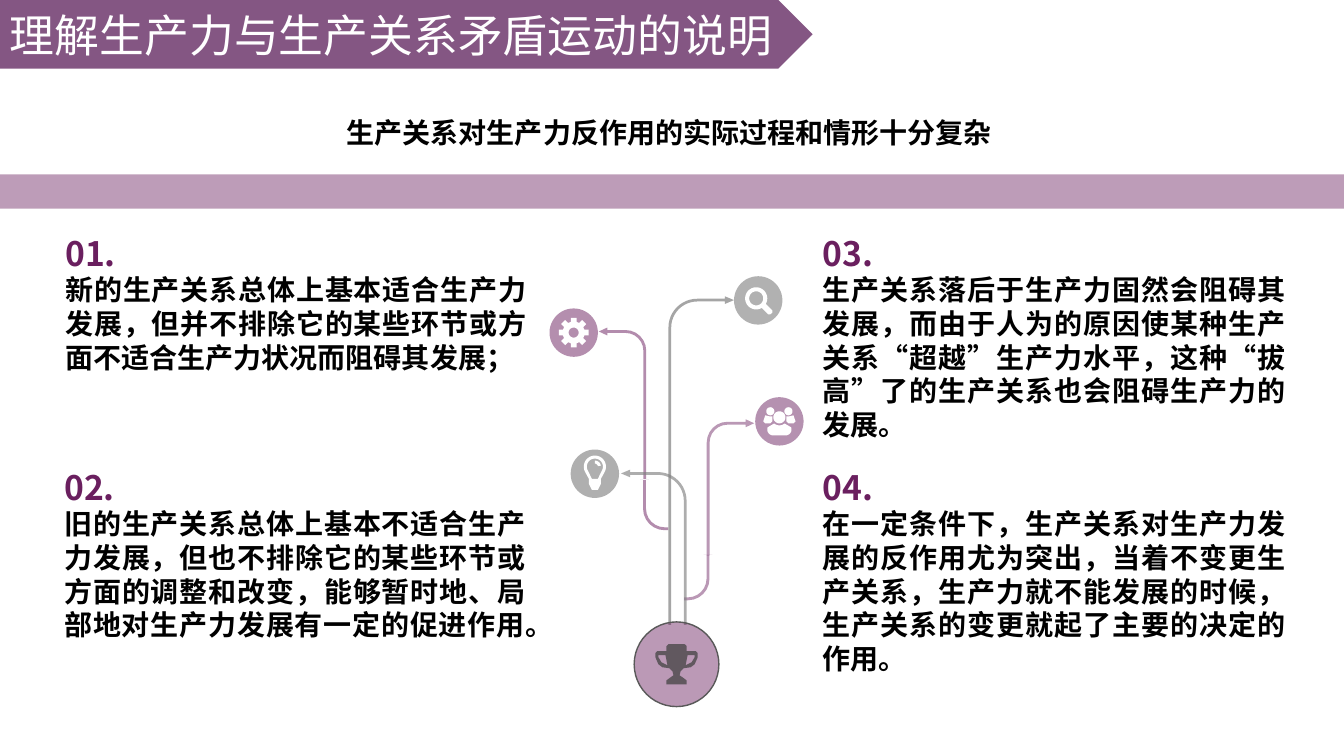
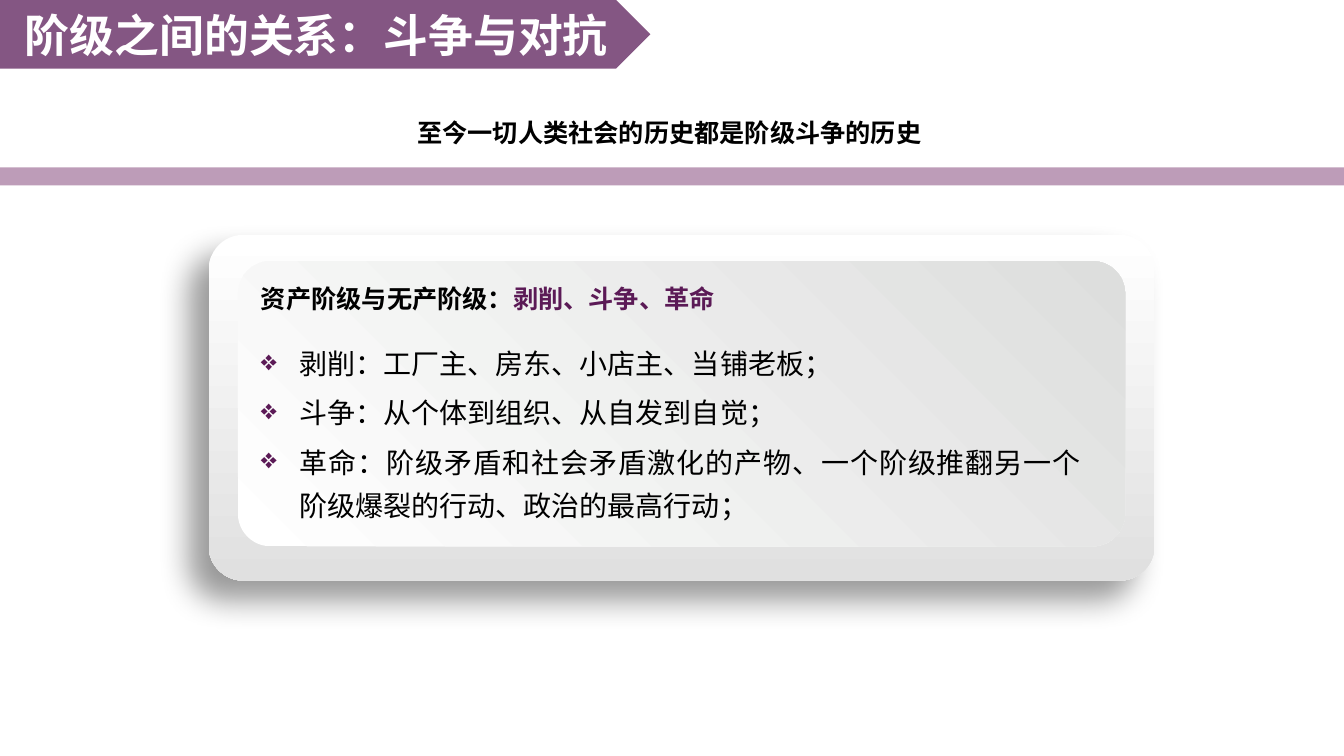
from math import cos, radians, sin

from lxml import etree
from pptx import Presentation
from pptx.dml.color import RGBColor
from pptx.enum.shapes import MSO_SHAPE
from pptx.enum.text import MSO_ANCHOR, PP_ALIGN
from pptx.oxml.ns import qn
from pptx.util import Inches, Pt

FONT = "Noto Sans CJK SC"
COLORS = {
    "banner": "5A1B58", "purple": "6A1F5F", "accent": "5B1A56",
    "gray": "A5A5A5", "mid_gray": "808080", "dark": "404040", "outline": "595959",
    "card": "E0E0E0", "panel": "DDDEDD", "white": "FFFFFF", "black": "000000",
}


def rgb(name):
    return RGBColor.from_string(COLORS[name])


# Shapes
def paint(sp, color, alpha=100):
    sp.shadow.inherit = False
    sp.line.fill.background()
    sp.fill.solid()
    sp.fill.fore_color.rgb = rgb(color)
    if alpha < 100:
        clr = sp.fill._xPr.find(qn("a:solidFill"))[0]
        etree.SubElement(clr, qn("a:alpha"), val=str(alpha * 1000))


def add_shape(s, kind, box, color, alpha=100, adj=(), rot=0, flip=False):
    sp = s.shapes.add_shape(kind, *(Inches(v) for v in box))
    paint(sp, color, alpha)
    for i, value in enumerate(adj):
        sp.adjustments[i] = value
    sp.rotation = rot
    if flip:
        sp._element.spPr.find(qn("a:xfrm")).set("flipH", "1")
    return sp


def add_card(s, box, radius, end_color, angle):
    sp = add_shape(s, MSO_SHAPE.ROUNDED_RECTANGLE, box, "white", adj=[radius])
    sp.fill.gradient()
    sp.fill.gradient_angle = angle
    for stop, color, pos in zip(sp.fill.gradient_stops, ("white", end_color), (0, 1)):
        stop.color.rgb = rgb(color)
        stop.position = pos
    return sp


def add_shadow(sp, color, alpha, blur, dist, angle):
    effects = sp._element.spPr.find(qn("a:effectLst"))
    shadow = etree.SubElement(effects, qn("a:outerShdw"), blurRad=str(Pt(blur)),
                              dist=str(Pt(dist)), dir=str(angle * 60000),
                              algn="ctr", rotWithShape="0")
    clr = etree.SubElement(shadow, qn("a:srgbClr"), val=COLORS[color])
    etree.SubElement(clr, qn("a:alpha"), val=str(alpha * 1000))


# Text
def add_run(p, text, size, color="black", bold=False):
    r = p.add_run()
    r.text = text
    r.font.size = Pt(size)
    r.font.bold = bold
    r.font.color.rgb = rgb(color)
    r.font.name = FONT
    etree.SubElement(r._r.get_or_add_rPr(), qn("a:ea"), typeface=FONT)


def add_text(s, box, wrap=True):
    tf = s.shapes.add_textbox(*(Inches(v) for v in box)).text_frame
    tf.word_wrap = wrap
    return tf


def add_bullet(p, char, color, indent):
    pPr = p._p.get_or_add_pPr()
    pPr.set("marL", str(Inches(indent)))
    pPr.set("indent", str(-Inches(indent)))
    clr = etree.SubElement(pPr, qn("a:buClr"))
    etree.SubElement(clr, qn("a:srgbClr"), val=COLORS[color])
    etree.SubElement(pPr, qn("a:buChar"), char=char)


# Parts both slides share
def add_frame(prs, title, title_w, align, bold, subtitle, sub_box, sub_size, spacing,
              band_y, band_h):
    s = prs.slides.add_slide(prs.slide_layouts[6])
    banner = add_shape(s, MSO_SHAPE.PENTAGON, (0, 0, title_w, 0.68), "banner", 74)
    tf = banner.text_frame
    tf.vertical_anchor = MSO_ANCHOR.MIDDLE
    p = tf.paragraphs[0]
    p.alignment = align
    add_run(p, title, 32, "white", bold)

    add_shape(s, MSO_SHAPE.RECTANGLE, (0, band_y, 13.33, band_h), "purple", 44)
    p = add_text(s, sub_box, wrap=False).paragraphs[0]
    p.line_spacing = spacing
    add_run(p, subtitle, sub_size, bold=True)
    return s


# Icon outlines, in inches around the centre of a badge
def arc(cx, cy, r, start=0, end=360, n=32):
    angles = [radians(start + (end - start) * i / n) for i in range(n + 1)]
    return [(cx + r * cos(a), cy + r * sin(a)) for a in angles]


def mirror(points):
    return [(-x, y) for x, y in reversed(points)]


def gear():
    teeth = []
    for i in range(8):
        for offset, r in ((-15, 0.11), (-11, 0.15), (11, 0.15), (15, 0.11)):
            a = radians(45 * i + offset)
            teeth.append((r * cos(a), r * sin(a)))
    return [[teeth, arc(0, 0, 0.05)]]


def magnifier():
    ring = [arc(-0.02, -0.02, 0.11), arc(-0.02, -0.02, 0.07)]
    handle = [(0.07, 0.03), (0.14, 0.1), (0.14, 0.12), (0.12, 0.14), (0.1, 0.14), (0.03, 0.07)]
    return [ring, [handle]]


def bulb():
    base = [(0.06, 0.05), (0.06, 0.1), (0.03, 0.16)]
    glass = arc(0, -0.07, 0.11, 150, 390) + base + mirror(base)
    inside = arc(0, -0.07, 0.08, 150, 390) + [(0.03, 0.05), (-0.03, 0.05)]
    glint = arc(0, -0.07, 0.06, 270, 350) + arc(0, -0.07, 0.03, 350, 270)
    return [[glass, inside, glint]]


def people():
    body = (arc(-0.06, 0.08, 0.06, 90, 200) + arc(0, -0.04, 0.08, 130, 50)
            + arc(0.06, 0.08, 0.06, -20, 90))
    side = [(-0.14, -0.06), (-0.1, -0.05), (-0.07, -0.05), (-0.07, 0),
            (-0.09, 0.02), (-0.14, 0.02), (-0.16, 0)]
    heads = [arc(0, -0.04, 0.06), arc(-0.09, -0.1, 0.04), arc(0.09, -0.1, 0.04)]
    return [heads + [body, side, mirror(side)]]


def trophy():
    half = [(0.08, -0.2), (0.1, -0.18), (0.1, -0.13), (0.19, -0.13), (0.21, -0.11),
            (0.21, -0.07), (0.18, 0), (0.14, 0.03), (0.07, 0.04), (0.04, 0.07),
            (0.03, 0.11), (0.06, 0.13), (0.1, 0.16), (0.1, 0.2)]
    handle = [(0.11, -0.09), (0.18, -0.09), (0.18, -0.07), (0.15, -0.02), (0.09, 0.01)]
    return [[half + mirror(half), handle, mirror(handle)]]


def add_badge(s, cx, cy, size, color, alpha, icon, icon_color="white", icon_alpha=100):
    box = (cx - size / 2, cy - size / 2, size, size)
    disc = add_shape(s, MSO_SHAPE.OVAL, box, color, alpha)
    for outlines in icon:
        contours = [[(Inches(cx + x), Inches(cy + y)) for x, y in o] for o in outlines]
        fb = s.shapes.build_freeform(*contours[0][0])
        for i, points in enumerate(contours):
            if i:
                fb.move_to(*points[0])
            fb.add_line_segments(points[1:], close=True)
        paint(fb.convert_to_shape(), icon_color, icon_alpha)
    return disc


# Slide 1
def add_tree(s):
    stem = (0.104, 0.153, 0, 0.762)
    short = (0.061, 0.083, 0.177, 0.438)
    tall = (0.042, 0.058, 0.138, 0.438)
    for box, color, alpha, adj, rot, flip in (
        ((6.24, 4.87, 0.5, 0.28), "purple", 51, stem, 270, False),
        ((5.94, 3.25, 0.47, 1.5), "purple", 51, short, 0, True),
        ((6.63, 2.94, 0.65, 3.26), "gray", 100, tall, 0, False),
        ((6.7, 5.59, 0.45, 0.28), "purple", 46, stem, 90, True),
        ((7.01, 4.16, 0.47, 1.35), "purple", 46, short, 0, False),
        ((6.16, 4.66, 0.65, 1.54), "mid_gray", 64, tall, 0, True),
    ):
        add_shape(s, MSO_SHAPE.BENT_ARROW, box, color, alpha, adj, rot, flip)

    root = add_badge(s, 6.71, 6.59, 0.84, "purple", 45, trophy(), "dark", 73)
    root.line.color.rgb = rgb("outline")
    root.line.width = Pt(1)
    for cx, cy, color, alpha, icon in (
        (5.69, 3.3, "purple", 50, gear()),
        (7.52, 2.98, "gray", 86, magnifier()),
        (5.9, 4.7, "gray", 88, bulb()),
        (7.73, 4.18, "purple", 49, people()),
    ):
        add_badge(s, cx, cy, 0.48, color, alpha, icon)


def add_point(s, box, number, text):
    tf = add_text(s, box)
    p = tf.paragraphs[0]
    p.line_spacing = Pt(28)
    add_run(p, number, 24, "purple", True)
    p = tf.add_paragraph()
    p.alignment = PP_ALIGN.JUSTIFY
    add_run(p, text, 20, bold=True)


def build_movement(prs):
    s = add_frame(prs, "理解生产力与生产关系矛盾运动的说明", 8.06, PP_ALIGN.LEFT, False,
                  "生产关系对生产力反作用的实际过程和情形十分复杂",
                  (3.34, 1.1, 6.65, 0.44), 20, 1.0, 1.73, 0.34)
    add_tree(s)
    for box, number, text in (
        ((0.55, 2.27, 4.77, 1.5), "01.",
         "新的生产关系总体上基本适合生产力发展，但并不排除它的某些环节或方面不适合生产力状况而阻碍其发展；"),
        ((0.54, 4.59, 4.77, 1.85), "02.",
         "旧的生产关系总体上基本不适合生产力发展，但也不排除它的某些环节或方面的调整和改变，"
         "能够暂时地、局部地对生产力发展有一定的促进作用。"),
        ((8.06, 2.27, 4.79, 1.84), "03.",
         "生产关系落后于生产力固然会阻碍其发展，而由于人为的原因使某种生产关系“超越”生产力水平，"
         "这种“拔高”了的生产关系也会阻碍生产力的发展。"),
        ((8.06, 4.59, 4.79, 2.18), "04.",
         "在一定条件下，生产关系对生产力发展的反作用尤为突出，当着不变更生产关系，"
         "生产力就不能发展的时候，生产关系的变更就起了主要的决定的作用。"),
    ):
        add_point(s, box, number, text)


# Slide 2
def build_struggle(prs):
    s = add_frame(prs, "阶级之间的关系：斗争与对抗", 6.45, PP_ALIGN.CENTER, True,
                  "至今一切人类社会的历史都是阶级斗争的历史",
                  (4.04, 1.02, 5.25, 0.49), 18, 1.3, 1.66, 0.18)
    card = add_card(s, (2.07, 2.33, 9.38, 3.43), 0.1, "card", 270)
    add_shadow(card, "black", 40, 22, 20, 135)
    add_card(s, (2.36, 2.59, 8.8, 2.83), 0.115, "panel", 45)

    tf = add_text(s, (2.49, 3.29, 8.33, 2.13))
    for i, text in enumerate((
        "剥削：工厂主、房东、小店主、当铺老板；",
        "斗争：从个体到组织、从自发到自觉；",
        "革命：阶级矛盾和社会矛盾激化的产物、一个阶级推翻另一个阶级爆裂的行动、政治的最高行动；",
    )):
        p = tf.add_paragraph() if i else tf.paragraphs[0]
        p.alignment = PP_ALIGN.JUSTIFY
        p.line_spacing = 1.3
        if i:
            p.space_before = Pt(4)
        add_bullet(p, "❖", "accent", 0.38)
        add_run(p, text, 20)

    p = add_text(s, (2.49, 2.67, 4.75, 0.49), wrap=False).paragraphs[0]
    p.line_spacing = 1.3
    add_run(p, "资产阶级与无产阶级：", 18, bold=True)
    add_run(p, "剥削、斗争、革命", 18, "accent", True)


def main():
    prs = Presentation()
    prs.slide_width, prs.slide_height = Inches(13.33), Inches(7.5)
    build_movement(prs)
    build_struggle(prs)
    prs.save("out.pptx")


if __name__ == "__main__":
    main()
